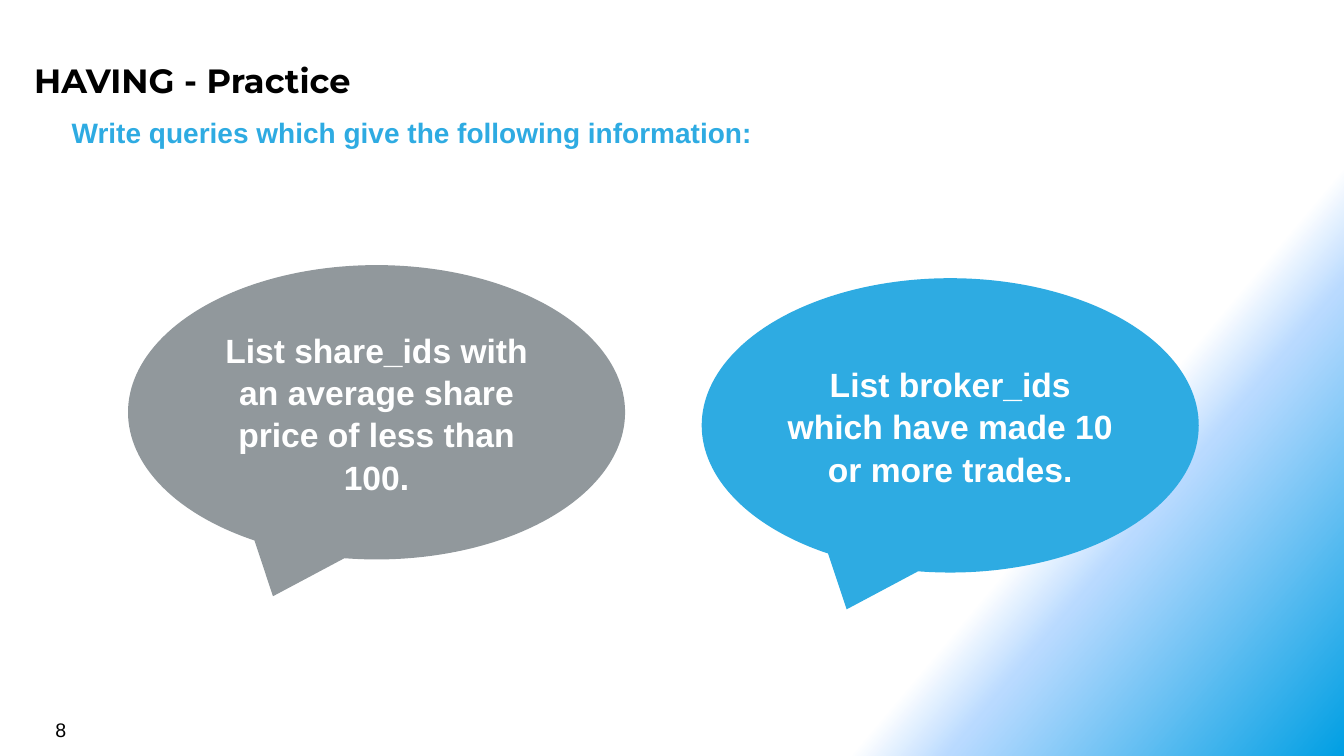
import lxml.etree
import pptx
import pptx.dml.color
import pptx.enum.dml
import pptx.enum.shapes
import pptx.enum.text
import pptx.oxml.ns
import pptx.util
from pptx.util import Inches

RGBColor = pptx.dml.color.RGBColor
BLACK = RGBColor(0x00, 0x00, 0x00)
WHITE = RGBColor(0xFF, 0xFF, 0xFF)
GREY = RGBColor(0x91, 0x98, 0x9C)
SKY = RGBColor(0x2E, 0xAB, 0xE2)
PALE_BLUE = RGBColor(0xB9, 0xDA, 0xFF)
DEEP_BLUE = RGBColor(0x00, 0x9F, 0xE3)


def write_text(frame, text, size, color, font="Arial", bold=True, inset=None,
               align=pptx.enum.text.PP_ALIGN.LEFT,
               anchor=pptx.enum.text.MSO_ANCHOR.TOP, spacing=None):
    """Fill a text frame with one formatted paragraph."""
    frame.word_wrap = True
    frame.vertical_anchor = anchor
    if inset is not None:
        frame.margin_left = frame.margin_right = inset
        frame.margin_top = frame.margin_bottom = inset
    paragraph = frame.paragraphs[0]
    paragraph.alignment = align
    paragraph.line_spacing = spacing
    run = paragraph.add_run()
    run.text = text
    run.font.name = font
    run.font.size = pptx.util.Pt(size)
    run.font.bold = bold
    run.font.color.rgb = color


def paint_background(slide):
    """Shade the lower right corner of the slide from white to blue."""
    fill = slide.background.fill
    fill.gradient()
    fill.gradient_angle = 320
    qn = pptx.oxml.ns.qn
    stops = slide.element.find(".//" + qn("a:gsLst"))
    for stop in list(stops):
        stops.remove(stop)
    for percent, color in ((75, WHITE), (80, PALE_BLUE), (100, DEEP_BLUE)):
        stop = lxml.etree.SubElement(stops, qn("a:gs"), pos=str(percent * 1000))
        lxml.etree.SubElement(stop, qn("a:srgbClr"), val=str(color))


def add_heading(slide, left, top, width):
    """Place the title with its instruction below."""
    title = slide.shapes.add_textbox(left, top, width, Inches(0.55))
    write_text(title.text_frame, "HAVING - Practice", 24, BLACK,
               font="Montserrat", inset=Inches(0.08))
    instruction = slide.shapes.add_textbox(
        left + Inches(0.37), top + Inches(0.56), width - Inches(0.25), Inches(0.5))
    write_text(instruction.text_frame,
               "Write queries which give the following information:",
               20, SKY, inset=Inches(0.08))


def add_task(slide, left, top, width, height, task, color):
    """Draw one practice task in a speech bubble."""
    bubble = slide.shapes.add_shape(
        pptx.enum.shapes.MSO_SHAPE.OVAL_CALLOUT, left, top, width, height)
    bubble.shadow.inherit = False
    bubble.fill.solid()
    bubble.fill.fore_color.rgb = color
    bubble.line.fill.background()
    write_text(bubble.text_frame, task, 24, WHITE, spacing=1.05,
               align=pptx.enum.text.PP_ALIGN.CENTER,
               anchor=pptx.enum.text.MSO_ANCHOR.MIDDLE)


def add_page_number(slide, left, top, width, height):
    """Place the page number."""
    number = slide.shapes.add_textbox(left, top, width, height)
    write_text(number.text_frame, "8", 14, BLACK, bold=False)


def main():
    """Build and save the practice slide."""
    deck = pptx.Presentation()
    deck.slide_width = Inches(13.33)
    deck.slide_height = Inches(7.5)
    slide = deck.slides.add_slide(deck.slide_layouts[6])
    paint_background(slide)
    add_heading(slide, Inches(0.26), Inches(0.51), Inches(12.26))
    tasks = (
        (1.27, 2.63, "List share_ids with an average share price of less than 100.", GREY),
        (6.96, 2.76, "List broker_ids which have made 10 or more trades.", SKY),
    )
    for left, top, task, color in tasks:
        add_task(slide, Inches(left), Inches(top), Inches(4.93), Inches(2.92),
                 task, color)
    add_page_number(slide, Inches(0.45), Inches(7.07), Inches(3.11), Inches(0.33))
    deck.save("out.pptx")


if __name__ == "__main__":
    main()
